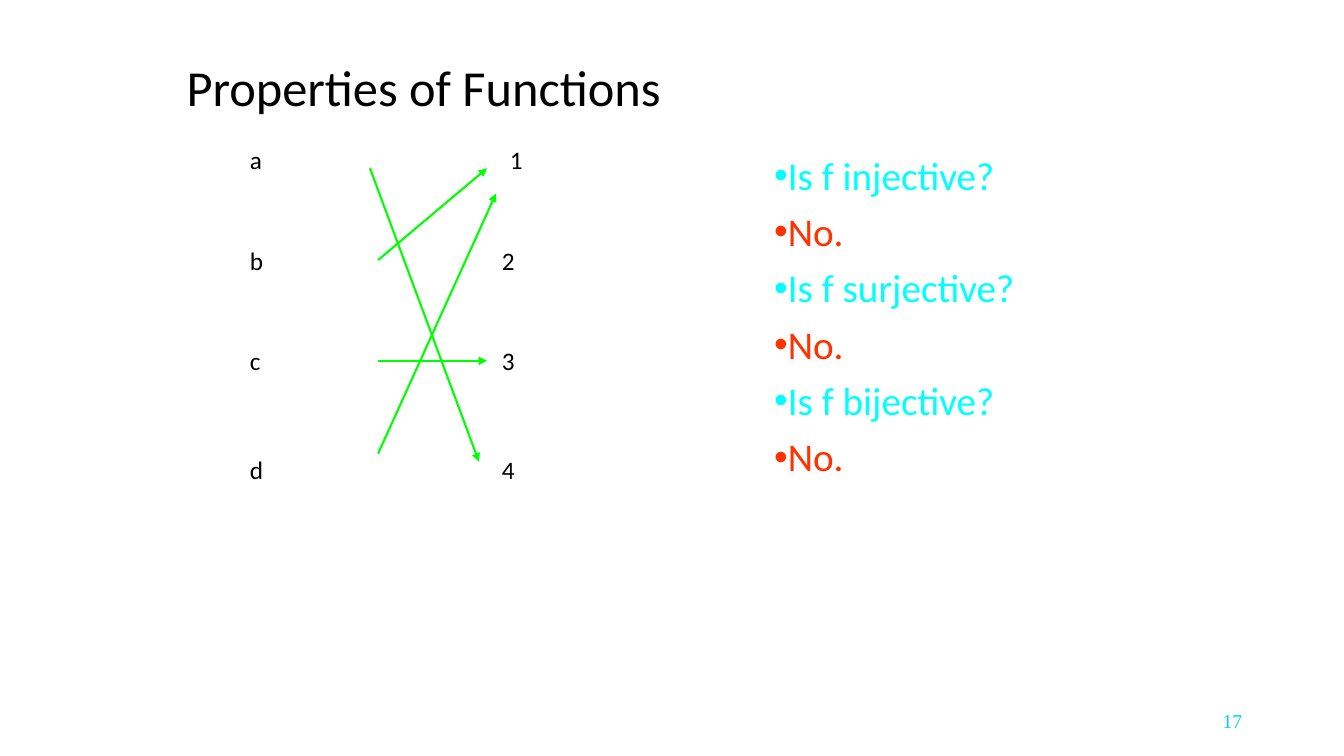
import pptx
import pptx.dml.color
import pptx.enum.shapes
import pptx.enum.text
import pptx.oxml.ns
import pptx.util
from lxml import etree

Inches = pptx.util.Inches
Pt = pptx.util.Pt
RGBColor = pptx.dml.color.RGBColor
PP_ALIGN = pptx.enum.text.PP_ALIGN
MSO_ANCHOR = pptx.enum.text.MSO_ANCHOR
qn = pptx.oxml.ns.qn

BLACK = RGBColor(0x00, 0x00, 0x00)
CYAN = RGBColor(0x00, 0xFF, 0xFF)
RED = RGBColor(0xFF, 0x33, 0x00)
GREEN = RGBColor(0x00, 0xFF, 0x00)
SKY = RGBColor(0x00, 0xCC, 0xFF)


def add_text(p, text, size=18, color=BLACK, font="Calibri", align=PP_ALIGN.LEFT,
             spacing=None, before=0, bullet=None):
    """Format a paragraph and add one run of text to it."""
    if bullet:
        pPr = p._p.get_or_add_pPr()
        pPr.set("marL", "0")
        pPr.set("indent", "0")
        etree.SubElement(pPr, qn("a:buFont")).set("typeface", "Arial")
        etree.SubElement(pPr, qn("a:buChar")).set("char", bullet)
    p.alignment = align
    p.line_spacing = spacing
    p.space_before = Pt(before)
    r = p.add_run()
    r.text = text
    r.font.size = Pt(size)
    r.font.name = font
    r.font.color.rgb = color


def add_box(s, left, top, width, height, anchor=MSO_ANCHOR.TOP):
    """Add a wrapping text box and return its text frame."""
    tf = s.shapes.add_textbox(Inches(left), Inches(top), Inches(width), Inches(height)).text_frame
    tf.word_wrap = True
    tf.vertical_anchor = anchor
    return tf


def add_arrow(s, x1, y1, x2, y2):
    """Add a green arrow between two points."""
    line = s.shapes.add_connector(pptx.enum.shapes.MSO_CONNECTOR.STRAIGHT,
                                  Inches(x1), Inches(y1), Inches(x2), Inches(y2))
    line.line.color.rgb = GREEN
    line.line.width = Pt(1.5)
    etree.SubElement(line.line._get_or_add_ln(), qn("a:tailEnd")).set("type", "triangle")
    etree.SubElement(line._element.spPr, qn("a:effectLst"))


def add_title(s, left, top, width, height):
    """Place and format the slide title."""
    sp = s.shapes.title
    sp.left, sp.top, sp.width, sp.height = (Inches(v) for v in (left, top, width, height))
    tf = sp.text_frame
    tf.auto_size = pptx.enum.text.MSO_AUTO_SIZE.NONE
    tf.vertical_anchor = MSO_ANCHOR.MIDDLE
    add_text(tf.paragraphs[0], "Properties of Functions", size=36, spacing=0.9)


def add_mapping(s, left, top):
    """Draw the two columns of elements and the arrows from one to the other."""
    rows = [0, 1, 2, 3.08]
    columns = [("abcd", [0, 0, 0, 0]), ("1234", [2.58, 2.5, 2.5, 2.5])]
    for names, offsets in columns:
        for name, dx, dy in zip(names, offsets, rows):
            tf = add_box(s, left + dx, top + dy, 2, 0.4)
            add_text(tf.paragraphs[0], name)
    arrows = [(1.29, 0.29, 2.37, 3.2), (1.37, 1.2, 2.45, 0.29),
              (1.37, 2.2, 2.45, 2.2), (1.37, 3.12, 2.54, 0.54)]
    for x1, y1, x2, y2 in arrows:
        add_arrow(s, left + x1, top + y1, left + x2, top + y2)


def add_questions(s, left, top, width, height):
    """List each question about f, followed by its answer."""
    tf = add_box(s, left, top, width, height)
    for i, kind in enumerate(["injective", "surjective", "bijective"]):
        p = tf.add_paragraph() if i else tf.paragraphs[0]
        add_text(p, f"Is f {kind}?", size=28, color=CYAN, spacing=0.9,
                 before=10 if i else 0, bullet="•")
        add_text(tf.add_paragraph(), "No.", size=28, color=RED, spacing=0.9,
                 before=10, bullet="•")


def add_slide_number(s, left, top, width, height):
    """Add the slide number at the right of its box."""
    tf = add_box(s, left, top, width, height, anchor=MSO_ANCHOR.MIDDLE)
    add_text(tf.paragraphs[0], "17", size=14, color=SKY, font="Times New Roman",
             align=PP_ALIGN.RIGHT)


def main():
    """Build the slide and save it."""
    prs = pptx.Presentation()
    prs.slide_width = Inches(13.33)
    prs.slide_height = Inches(7.5)
    s = prs.slides.add_slide(prs.slide_layouts.get_by_name("Title Only"))
    add_title(s, 1.75, 0.52, 8.5, 0.75)
    add_questions(s, 7.58, 1.5, 3.67, 4.75)
    add_slide_number(s, 9.42, 6.95, 3, 0.4)
    add_mapping(s, 2.38, 1.38)
    prs.save("out.pptx")


if __name__ == "__main__":
    main()
